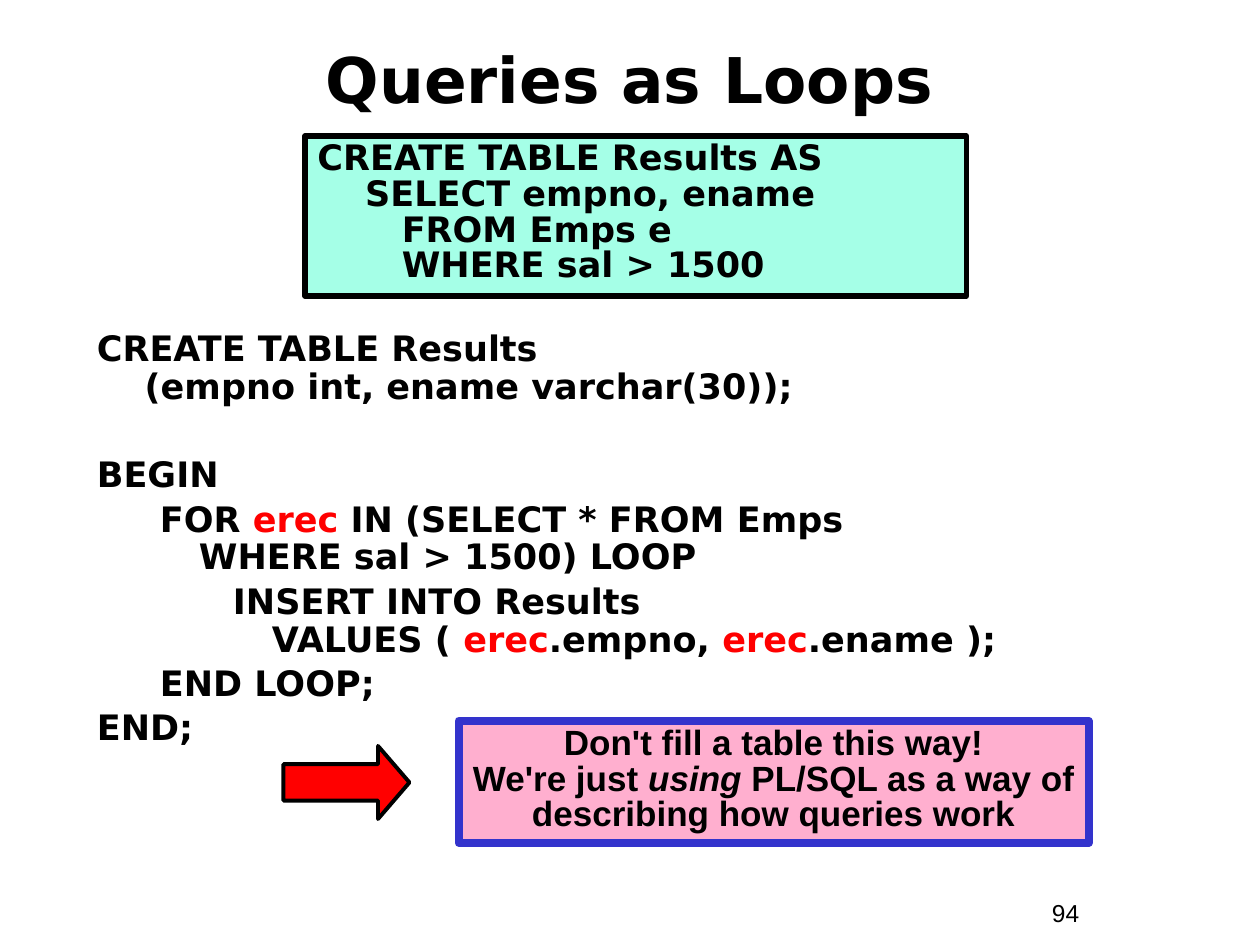
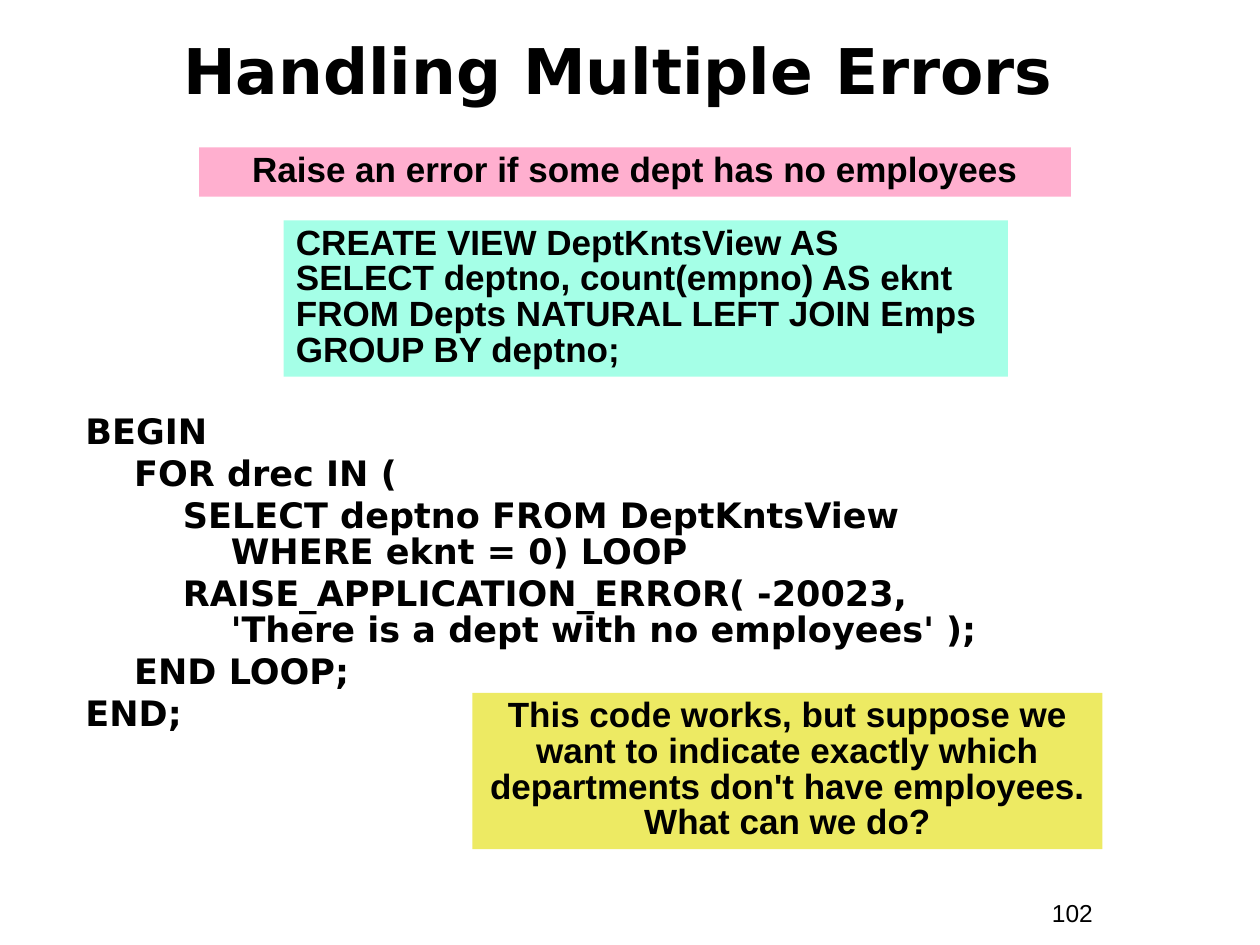
"""Builds two PL/SQL lecture slides: queries as loops and handling multiple errors."""
import pptx
import pptx.dml.color
import pptx.enum.shapes
import pptx.enum.text
import pptx.util

PX = 9144
COLORS = {"ink": "000000", "paper": "FFFFFF", "mint": "A5FFE7", "pink": "FFAFCF",
          "yellow": "EDEA63", "blue": "3333CC", "red": "FF0000"}
ALIGN = pptx.enum.text.PP_ALIGN
SHAPE = pptx.enum.shapes.MSO_SHAPE
ANCHOR = pptx.enum.text.MSO_ANCHOR

TITLE = {"name": "DejaVu Sans", "size": pptx.util.Pt(36), "bold": True}
CODE = {"name": "DejaVu Sans", "size": pptx.util.Pt(20), "bold": True}
NOTE = {"name": "Arial", "size": pptx.util.Pt(20), "bold": True}
NUMBER = {"name": "Arial", "size": pptx.util.Pt(14), "bold": False}
CENTERED = {"alignment": ALIGN.CENTER}
TIGHT = {"alignment": ALIGN.LEFT, "line_spacing": 0.85}
TIGHT_CENTERED = {"alignment": ALIGN.CENTER, "line_spacing": 0.85}
LOOSE = {"alignment": ALIGN.LEFT, "line_spacing": 0.9}
HANGING = (38, -38)
NESTED = (81, -31)


def add_panel(page, place, fill=None, line=None, weight=0, kind=SHAPE.RECTANGLE):
    """Add a flat shape, or a text box when there is no fill."""
    place = [length * PX for length in place]
    if fill is None:
        return page.shapes.add_textbox(*place)
    box = page.shapes.add_shape(kind, *place)
    box.shadow.inherit = False
    box.fill.solid()
    box.fill.fore_color.rgb = pptx.dml.color.RGBColor.from_string(COLORS[fill])
    if line is None:
        box.line.fill.background()
    else:
        box.line.color.rgb = pptx.dml.color.RGBColor.from_string(COLORS[line])
        box.line.width = pptx.util.Pt(weight)
    return box


def write(box, paragraphs, font, layout, anchor=ANCHOR.TOP):
    """Fill a box with (indent, space before, spans) paragraphs; a span is (text, color, italic)."""
    frame = box.text_frame
    frame.word_wrap = True
    frame.vertical_anchor = anchor
    for index, (indent, space, spans) in enumerate(paragraphs):
        para = frame.paragraphs[0] if index == 0 else frame.add_paragraph()
        for name, value in layout.items():
            setattr(para, name, value)
        if index:
            para.space_before = pptx.util.Pt(space)
        if indent:
            properties = para._p.get_or_add_pPr()
            for name, length in zip(("marL", "indent"), indent):
                properties.set(name, str(length * PX))
        for text, color, italic in spans:
            for part, row in enumerate(text.split("\n")):
                if part:
                    para.add_line_break()
                span = para.add_run()
                span.text = row
                for name, value in {**font, "italic": italic}.items():
                    setattr(span.font, name, value)
                span.font.color.rgb = pptx.dml.color.RGBColor.from_string(COLORS[color])


deck = pptx.Presentation()
deck.slide_width, deck.slide_height = 1000 * PX, 750 * PX

pages = []
for title, title_place, number in [
    ("Queries as Loops", (33, 33, 933, 58), "94"),
    ("Handling Multiple Errors", (24, 9, 933, 92), "102"),
]:
    page = deck.slides.add_slide(deck.slide_layouts[6])
    write(add_panel(page, (825, 708, 92, 34)), [(None, 0, [(number, "ink", False)])],
          NUMBER, {"alignment": ALIGN.LEFT})
    write(add_panel(page, title_place), [(None, 0, [(title, "ink", False)])],
          TITLE, CENTERED, ANCHOR.MIDDLE)
    pages.append(page)
loops_page, errors_page = pages

query = "CREATE TABLE Results AS SELECT empno, ename\n   FROM Emps e\n   WHERE sal > 1500"
query_box = add_panel(loops_page, (242, 108, 525, 127), "mint", "ink", 3)
write(query_box, [(HANGING, 0, [(query, "ink", False)])], CODE, TIGHT)

record = ("erec", "red", False)
loop_code = [
    (HANGING, 0, [("CREATE TABLE Results\n(empno int, ename varchar(30));", "ink", False)]),
    (HANGING, 29, [("BEGIN", "ink", False)]),
    (NESTED, 3.7, [("FOR ", "ink", False), record,
                   (" IN (SELECT * FROM Emps\nWHERE sal > 1500) LOOP", "ink", False)]),
    (NESTED, 3.7, [("      INSERT INTO Results\n      VALUES ( ", "ink", False), record,
                   (".empno, ", "ink", False), record, (".ename );", "ink", False)]),
    (NESTED, 3.7, [("END LOOP;", "ink", False)]),
    (HANGING, 3.7, [("END;", "ink", False)]),
]
write(add_panel(loops_page, (67, 258, 875, 433)), loop_code, CODE, LOOSE)

warning = [("Don't fill a table this way!\nWe're just ", "ink", False), ("using", "ink", True),
           (" PL/SQL as a way of describing how queries work", "ink", False)]
warning_box = add_panel(loops_page, (364, 572, 500, 97), "pink", "blue", 4.5)
write(warning_box, [(None, 0, warning)], NOTE, TIGHT_CENTERED)

arrow = add_panel(loops_page, (225, 592, 100, 58), "red", "ink", 2.25, SHAPE.RIGHT_ARROW)
arrow.adjustments[0] = 0.5
arrow.adjustments[1] = 0.43

error_code = [
    "BEGIN",
    "    FOR drec IN (",
    "        SELECT deptno FROM DeptKntsView\n        WHERE eknt = 0) LOOP",
    "        RAISE_APPLICATION_ERROR( -20023,\n        'There is a dept with no employees' );",
    "    END LOOP;",
    "END;",
]
write(add_panel(errors_page, (58, 325, 850, 271)),
      [(HANGING, 3.7, [(text, "ink", False)]) for text in error_code], CODE, TIGHT)

for place, fill, layout, text in [
    ((158, 117, 692, 39), "pink", TIGHT_CENTERED,
     "Raise an error if some dept has no employees"),
    ((225, 175, 575, 124), "mint", TIGHT,
     "CREATE VIEW DeptKntsView AS\nSELECT deptno, count(empno) AS eknt\n"
     "FROM Depts NATURAL LEFT JOIN Emps\nGROUP BY deptno;"),
    ((375, 550, 500, 124), "yellow", TIGHT_CENTERED,
     "This code works, but suppose we want to indicate exactly which "
     "departments don't have employees. What can we do?"),
]:
    write(add_panel(errors_page, place, fill), [(None, 0, [(text, "ink", False)])], NOTE, layout)

deck.save("out.pptx")
